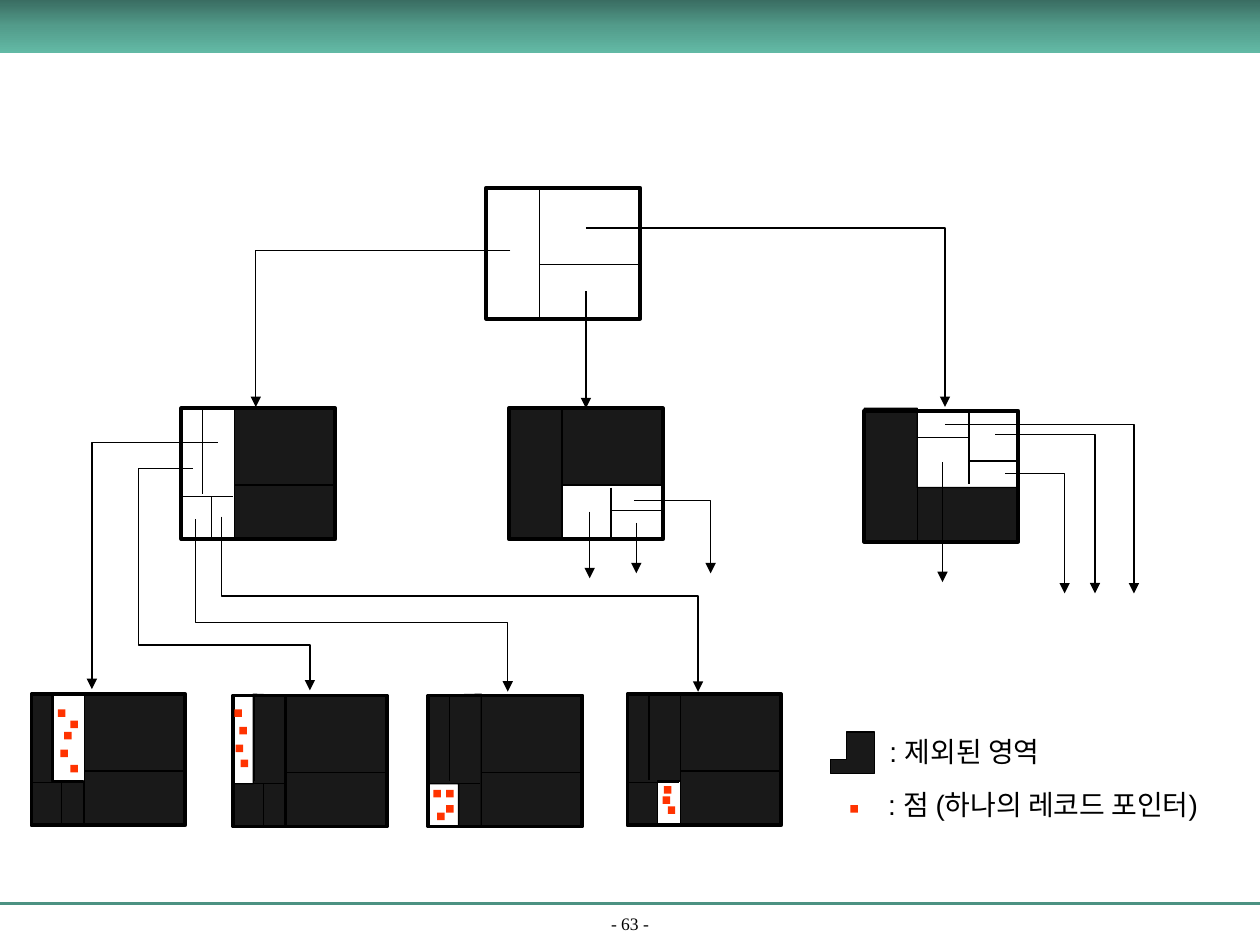
"""Build a slide of a spatial index tree whose nodes split a plane into regions."""
from copy import deepcopy

from lxml import etree
from pptx import Presentation
from pptx.dml.color import RGBColor
from pptx.enum import shapes, text
from pptx.oxml.ns import qn
from pptx.util import Emu, Pt

PX = 9144
COLORS = {
    "ink": "000000", "dot": "FF3300", "rule": "4C9282",
    "band_top": "3A6D62", "band_middle": "539C8B", "band_bottom": "62B9A5",
}
RECTANGLE = shapes.MSO_SHAPE.RECTANGLE
rgb = {name: RGBColor.from_string(value) for name, value in COLORS.items()}

presentation = Presentation()
presentation.slide_width = Emu(1000 * PX)
presentation.slide_height = Emu(750 * PX)
slide = presentation.slides.add_slide(presentation.slide_layouts[6])


def finish(shape, weight=0.75, shaded=False, arrow=False, color="ink"):
    shape.line.color.rgb = rgb[color]
    shape.line.width = Pt(weight)
    properties = shape._element.spPr
    if arrow:
        etree.SubElement(properties.find(qn("a:ln")), qn("a:tailEnd"), type="triangle")
    etree.SubElement(properties, qn("a:effectLst"))
    if shaded:
        shape.fill.solid()
        shape.fill.fore_color.rgb = rgb["ink"]
        fill_color = properties.find(qn("a:solidFill")).find(qn("a:srgbClr"))
        etree.SubElement(fill_color, qn("a:alpha"), val="90000")
    elif not isinstance(shape, type(rule)):
        shape.fill.background()
    return shape


def draw(points, parent=slide, **style):
    if len(points) == 2:
        ends = [Emu(value * PX) for point in points for value in point]
        shape = parent.shapes.add_connector(shapes.MSO_CONNECTOR.STRAIGHT, *ends)
    else:
        builder = parent.shapes.build_freeform(*points[0], scale=PX)
        builder.add_line_segments(points[1:], close=style.get("shaded", False))
        shape = builder.convert_to_shape()
    return finish(shape, **style)


rule = slide.shapes.add_connector(
    shapes.MSO_CONNECTOR.STRAIGHT, 0, Emu(717 * PX), Emu(1000 * PX), Emu(717 * PX))
finish(rule, weight=1.5, color="rule")

band = slide.shapes.add_shape(RECTANGLE, 0, 0, Emu(1000 * PX), Emu(42 * PX))
band.shadow.inherit = False
band.line.fill.background()
band.fill.gradient()
band.fill.gradient_angle = 270
stop_list = band._element.spPr.find(".//" + qn("a:gsLst"))
stop_list.append(deepcopy(stop_list[0]))
for stop, position, name in zip(band.fill.gradient_stops, (0, 0.5, 1),
                                ("band_top", "band_middle", "band_bottom")):
    stop.position = position
    stop.color.rgb = rgb[name]

nodes = {
    "root": (386, 149), "left": (144, 324), "middle": (404, 324), "right": (686, 326),
    "leaf 1": (25, 551), "leaf 2": (185, 552), "leaf 3": (340, 552), "leaf 4": (498, 551),
}
excluded = {
    "middle": [(0, 0), (0, 103), (42, 103), (42, 61), (121, 61), (122, 0)],
    "right": [(0, -2), (-1, 104), (122, 104), (122, 61), (42, 61), (42, -2)],
    "leaf 1": [(-1, 0), (-1, 103), (41, 103), (41, 69), (16, 69), (16, 0)],
    "leaf 2": [(16, -1), (16, 70), (0, 70), (0, 104), (41, 104), (41, 0)],
    "leaf 3": [(0, 0), (0, 70), (24, 70), (24, 104), (42, 104), (42, -1)],
    "leaf 4": [(1, 0), (1, 104), (24, 104), (24, 69), (42, 69), (42, 0)],
}
splits = {
    "middle": [[(81, 63), (81, 104)], [(81, 81), (121, 81)]],
    "right": [[(83, 1), (83, 58)], [(42, 21), (82, 21)], [(83, 40), (121, 40)]],
}
quarter_splits = [[(0, 70), (41, 70)], [(17, 0), (17, 68)], [(24, 70), (24, 103)]]

frames = {}
for name, (x, y) in nodes.items():
    group = slide.shapes.add_group_shape()
    frame = group.shapes.add_shape(
        RECTANGLE, Emu(x * PX), Emu(y * PX), Emu(122 * PX), Emu(104 * PX))
    frames[name] = finish(frame, weight=2.25)
    draw([(x + 42, y - 1), (x + 42, y + 103)], parent=group)
    draw([(x + 42, y + 61), (x + 122, y + 61)], parent=group)
    if name == "left" or name.startswith("leaf"):
        side = slide.shapes.add_shape(
            RECTANGLE, Emu((x + 42) * PX), Emu(y * PX), Emu(79 * PX), Emu(103 * PX))
        finish(side, shaded=True)
        node_splits = quarter_splits
    else:
        node_splits = splits.get(name, [])
    if name in excluded:
        draw([(x + dx, y + dy) for dx, dy in excluded[name]], shaded=True)
    for split in node_splits:
        draw([(x + dx, y + dy) for dx, dy in split])

root_arrow = draw([(465, 231), (465, 324)], arrow=True)
root_arrow.end_connect(frames["middle"], 0)

pointers = [
    [(405, 199), (203, 199), (203, 323)],
    [(465, 181), (750, 181), (750, 323)],
    [(468, 406), (468, 459)],
    [(503, 397), (564, 397), (564, 455)],
    [(505, 415), (505, 455)],
    [(173, 351), (73, 351), (73, 547)],
    [(153, 372), (110, 372), (110, 512), (246, 512), (246, 548)],
    [(176, 410), (176, 473), (554, 473), (554, 549)],
    [(155, 412), (155, 494), (403, 494), (403, 549)],
    [(748, 367), (748, 462)],
    [(798, 376), (845, 376), (845, 471)],
    [(790, 345), (869, 345), (869, 471)],
    [(750, 337), (900, 337), (900, 471)],
]
for pointer in pointers:
    draw(pointer, arrow=True)

draw([(672, 581), (672, 603), (659, 603), (659, 614), (694, 614), (694, 581)], shaded=True)

dots = [
    (46, 563), (51, 581), (48, 595), (56, 607), (56, 572),
    (191, 603), (190, 577), (187, 591), (186, 563),
    (344, 627), (354, 639), (354, 627), (347, 645),
    (530, 640), (527, 624), (526, 632),
    (675, 639),
]
for x, y in dots:
    dot = slide.shapes.add_shape(RECTANGLE, Emu(x * PX), Emu(y * PX), Emu(6 * PX), Emu(6 * PX))
    dot.shadow.inherit = False
    dot.fill.solid()
    dot.fill.fore_color.rgb = rgb["dot"]
    dot.line.fill.background()

labels = [
    (": 제외된 영역", (696, 578, 150, 37), 16, "Arial", "LEFT", "TOP"),
    (": 점 (하나의 레코드 포인터)", (695, 620, 289, 37), 16, "Arial", "LEFT", "TOP"),
    ("- 63 -", (0, 724, 1000, 22), 10, "Times New Roman", "CENTER", "BOTTOM"),
]
for words, bounds, size, font_name, alignment, anchor in labels:
    label = slide.shapes.add_textbox(*[Emu(value * PX) for value in bounds])
    label.text_frame.word_wrap = True
    label.text_frame.vertical_anchor = text.MSO_ANCHOR[anchor]
    paragraph = label.text_frame.paragraphs[0]
    paragraph.alignment = text.PP_ALIGN[alignment]
    run = paragraph.add_run()
    run.text = words
    run.font.size = Pt(size)
    run.font.name = font_name
    run.font.color.rgb = rgb["ink"]

presentation.save("out.pptx")
